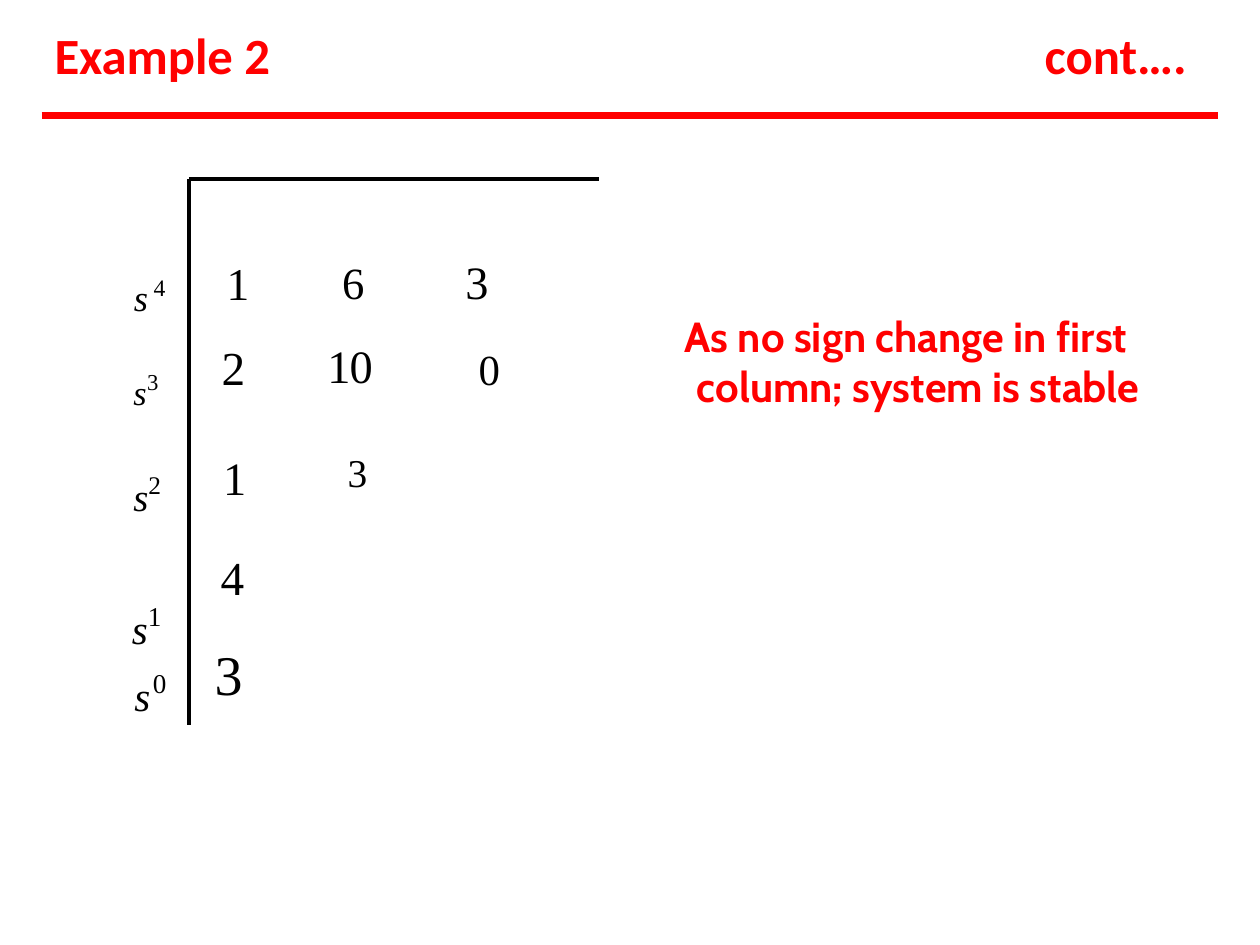
"""Build the slide with the Routh array of Example 2 and its stability verdict."""
from lxml import etree
from pptx import Presentation
from pptx.dml.color import RGBColor
from pptx.enum.shapes import MSO_CONNECTOR
from pptx.enum.text import MSO_ANCHOR, MSO_AUTO_SIZE
from pptx.oxml.ns import qn
from pptx.util import Cm, Pt

LINE = MSO_CONNECTOR.STRAIGHT
TOP = MSO_ANCHOR.TOP
GROW = MSO_AUTO_SIZE.SHAPE_TO_FIT_TEXT
RED, BLACK = "FF0000", "000000"
MATH = {"name": "Times New Roman", "bold": False}
HEAD = {"name": "Calibri", "bold": True}
NOTE = {"name": "Cabin", "bold": True}


def paint(color, code):
    color.rgb = RGBColor.from_string(code)


def put(slide, area, inset, style, code, paras):
    box = slide.shapes.add_textbox(*map(Cm, area))
    frame = box.text_frame
    form = {"word_wrap": True, "auto_size": GROW, "vertical_anchor": TOP,
            "margin_left": 0, "margin_right": 0,
            "margin_top": Cm(inset), "margin_bottom": 0}
    for key, value in form.items():
        setattr(frame, key, value)
    for num, (left, hang, before, runs) in enumerate(paras):
        para = frame.add_paragraph() if num else frame.paragraphs[0]
        props = para._p.get_or_add_pPr()
        props.set("marL", str(Cm(left)))
        props.set("indent", str(Cm(hang)))
        para.space_before = Pt(before)
        for text, size, gap, base in runs:
            run = para.add_run()
            run.text = text
            look = {**style, "size": Pt(size), "italic": base < 0}
            for key, value in look.items():
                setattr(run.font, key, value)
            paint(run.font.color, code)
            mark = run._r.get_or_add_rPr()
            mark.set("spc", str(round(gap * 100)))
            if base:
                mark.set("baseline", str(base * 1000))


deck = Presentation()
deck.slide_width, deck.slide_height = Cm(25.4), Cm(19.05)
slide = deck.slides.add_slide(deck.slide_layouts[6])

powers = [
    ((2.6, 4.67, 0.94, 1.09), [(0.1, 0, "4", 36, 13.5, 3.1, 2.1, -24)]),
    ((2.59, 6.66, 0.76, 1.02), [(0.1, 0, "3", 33.8, 13, 0.2, 0.1, -25)]),
    ((2.56, 8.6, 0.76, 3.02), [(0.13, 0, "2", 38.2, 14.5, -1.4, -0.9, -25),
                               (0.1, 20.9, "1", 40.5, 15.5, -3.2, -2.1, -25)]),
    ((2.61, 12.53, 0.91, 1.22), [(0.1, 0, "0", 40.5, 15.5, 1.4, 0.9, -25)]),
]
for area, rows in powers:
    paras = [(left, 0, before, [("s", big, wide, base), (power, small, gap, 0)])
             for left, before, power, big, small, wide, gap, base in rows]
    put(slide, area, 0.03, MATH, BLACK, paras)

terms = [
    ((4.47, 9.02, 0.58, 1.19), 0.03, [(0.03, 0, "1", 26.5, 1.4)]),
    ((6.98, 8.99, 0.43, 1.04), 0.05, [(0.03, 0, "3", 22.5, -0.8)]),
    ((9.35, 5.07, 0.81, 2.92), 0.03, [(0.03, 0, "3", 26.5, -0.3),
                                      (0.3, 19.6, "0", 24.5, 0.9)]),
    ((6.57, 4.53, 0.97, 3.4), 0.61, [(0.33, 0, "6", 25.5, -2.2),
                                     (0.03, 16.2, "10", 26.5, -0.5)]),
    ((4.44, 4.53, 0.61, 3.48), 0.61, [(0.13, 0, "1", 26, -0.4),
                                      (0.03, 16.6, "2", 27, -1.4)]),
    ((4.3, 10.44, 0.64, 3.84), 0.61, [(0.15, 0, "4", 27, -0.9),
                                      (0.03, 19.6, "3", 32, -3)]),
]
for area, inset, rows in terms:
    paras = [(left, 0, before, [(text, size, gap, 0)])
             for left, before, text, size, gap in rows]
    put(slide, area, inset, MATH, BLACK, paras)

words = [
    ((13.77, 6.23, 10.8, 2.11), NOTE, 0.28, -0.25, 24, 0,
     "As no sign change in first column; system is stable"),
    ((1.07, 0.44, 4.42, 1.3), HEAD, 0.03, 0, 29, -0.05, "Example 2"),
    ((21.03, 0.44, 2.95, 1.3), HEAD, 0.03, 0, 29, -0.05, "cont…."),
]
for area, style, left, hang, size, gap, text in words:
    put(slide, area, 0.03, style, RED, [(left, hang, 0, [(text, size, gap, 0)])])

left, top, right, foot = map(Cm, (3.81, 3.61, 12.07, 14.61))
pen = slide.shapes.build_freeform(left, top)
pen.add_line_segments([(left, foot)], close=False)
pen.move_to(left, top)
pen.add_line_segments([(right, top)], close=False)
frame = pen.convert_to_shape()
frame.shadow.inherit = False
frame.fill.background()
paint(frame.line.color, BLACK)
frame.line.width = Pt(2.04)

rule = slide.shapes.add_connector(LINE, *map(Cm, (0.84, 2.32, 24.56, 2.32)))
paint(rule.line.color, RED)
rule.line.width = Pt(3.96)
etree.SubElement(rule._element.spPr, qn("a:effectLst"))

deck.save("out.pptx")
